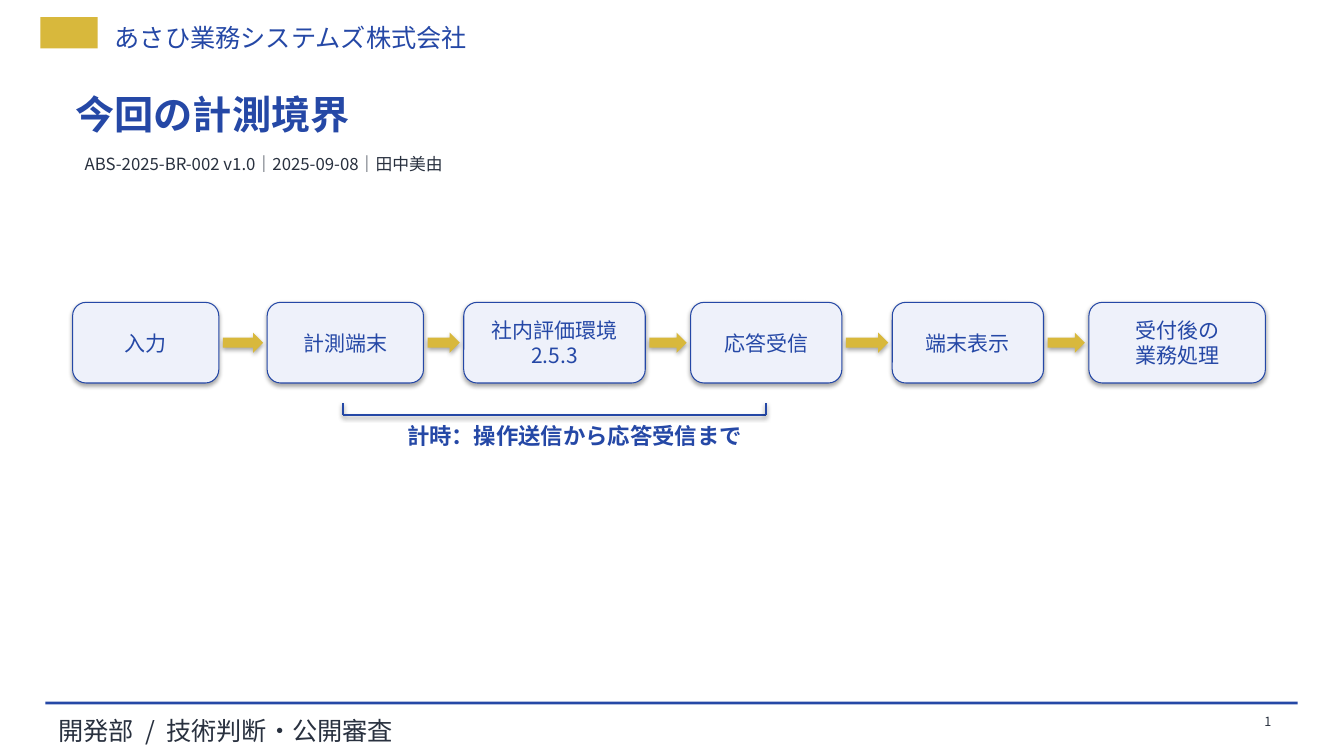
from itertools import pairwise
from pptx import Presentation
from pptx.dml.color import RGBColor
from pptx.enum.shapes import MSO_CONNECTOR, MSO_SHAPE
from pptx.enum.text import MSO_ANCHOR, PP_ALIGN
from pptx.oxml.ns import qn
from pptx.util import Inches, Pt

FONT = "Noto Sans CJK JP"
BLUE, GOLD, DARK, PALE = "2548A6", "D8B83C", "29313F", "EEF1FA"
STEPS = [
    (0.72, 1.45, "入力"),
    (2.65, 1.55, "計測端末"),
    (4.6, 1.8, "社内評価環境\n2.5.3"),
    (6.85, 1.5, "応答受信"),
    (8.85, 1.5, "端末表示"),
    (10.8, 1.75, "受付後の\n業務処理"),
]


def color(value):
    """Turn a hex string into a colour."""
    return RGBColor.from_string(value)


def write(frame, text, size, tone, bold=False, align=PP_ALIGN.LEFT):
    """Write one paragraph, with a line break at each newline."""
    para = frame.paragraphs[0]
    para.alignment = align
    for i, line in enumerate(text.split("\n")):
        if i:
            para.add_line_break()
        run = para.add_run()
        run.text = line
        font = run.font
        font.size, font.bold, font.name = Pt(size), bold, FONT
        font.color.rgb = color(tone)
        east = font._element.makeelement(qn("a:ea"), {"typeface": FONT})
        font._element.append(east)


def label(slide, box, text, size, tone, side=0.04, **style):
    """Place a text box with the given side inset."""
    frame = slide.shapes.add_textbox(*map(Inches, box)).text_frame
    frame.word_wrap = True
    frame.margin_left = frame.margin_right = Inches(side)
    write(frame, text, size, tone, **style)


def block(slide, kind, box, fill, edge=None, shadow=False):
    """Draw a filled shape with an optional outline and theme shadow."""
    shape = slide.shapes.add_shape(kind, *map(Inches, box))
    shape.fill.solid()
    shape.fill.fore_color.rgb = color(fill)
    if edge:
        shape.line.color.rgb = color(edge)
        shape.line.width = Pt(0.75)
    else:
        shape.line.fill.background()
    if not shadow:
        shape.shadow.inherit = False
    return shape


def header(slide, left, top):
    """Place the emblem block, company name, title and document line."""
    block(slide, MSO_SHAPE.RECTANGLE, (left, top, 0.57, 0.31), GOLD)
    label(slide, (left + 0.64, top, 7, 0.34), "あさひ業務システムズ株式会社",
          18, BLUE, side=0.1)
    label(slide, (left + 0.25, top + 0.68, 12, 0.6), "今回の計測境界",
          28, BLUE, side=0.1, bold=True)
    label(slide, (left + 0.4, top + 1.31, 11.7, 0.35),
          "ABS-2025-BR-002 v1.0｜2025-09-08｜田中美由", 12, DARK)


def footer(slide, left, top, width):
    """Place the rule, department line and page number."""
    block(slide, MSO_SHAPE.RECTANGLE, (left, top, width, 0.03), BLUE)
    label(slide, (left + 0.03, top + 0.09, 10, 0.26),
          "開発部  /  技術判断・公開審査", 18, DARK, side=0.1)
    label(slide, (left + width - 0.82, top + 0.07, 0.6, 0.3), "1", 9, DARK,
          align=PP_ALIGN.RIGHT)


def flow(slide, top, height):
    """Draw the steps and an arrow in each gap between them."""
    for left, width, text in STEPS:
        step = block(slide, MSO_SHAPE.ROUNDED_RECTANGLE,
                     (left, top, width, height), PALE, BLUE, True)
        frame = step.text_frame
        frame.word_wrap = True
        frame.vertical_anchor = MSO_ANCHOR.MIDDLE
        write(frame, text, 15, BLUE, align=PP_ALIGN.CENTER)
    pad, thick = 0.04, 0.2
    for (left, width, _), (after, _, _) in pairwise(STEPS):
        start = left + width + pad
        block(slide, MSO_SHAPE.RIGHT_ARROW,
              (start, top + (height - thick) / 2, after - pad - start, thick),
              GOLD, shadow=True)


def span(slide, left, top, width, depth):
    """Draw the timing bracket with its caption."""
    label(slide, (left - 0.4, top + depth + 0.02, width + 1.2, 0.45),
          "計時：操作送信から応答受信まで", 16, BLUE, bold=True,
          align=PP_ALIGN.CENTER)
    right, base = left + width, top + depth
    points = [(left, top), (left, base), (right, base), (right, top)]
    for start, end in pairwise(points):
        line = slide.shapes.add_connector(
            MSO_CONNECTOR.STRAIGHT, *map(Inches, start + end))
        line.line.color.rgb = color(BLUE)
        line.line.width = Pt(1.5)


def main():
    """Build and save the slide."""
    deck = Presentation()
    deck.slide_width, deck.slide_height = Inches(13.33), Inches(7.5)
    slide = deck.slides.add_slide(deck.slide_layouts[6])
    header(slide, 0.4, 0.17)
    footer(slide, 0.45, 6.96, 12.42)
    flow(slide, 3, 0.8)
    span(slide, 3.4, 4, 4.2, 0.12)
    deck.save("out.pptx")


if __name__ == "__main__":
    main()
